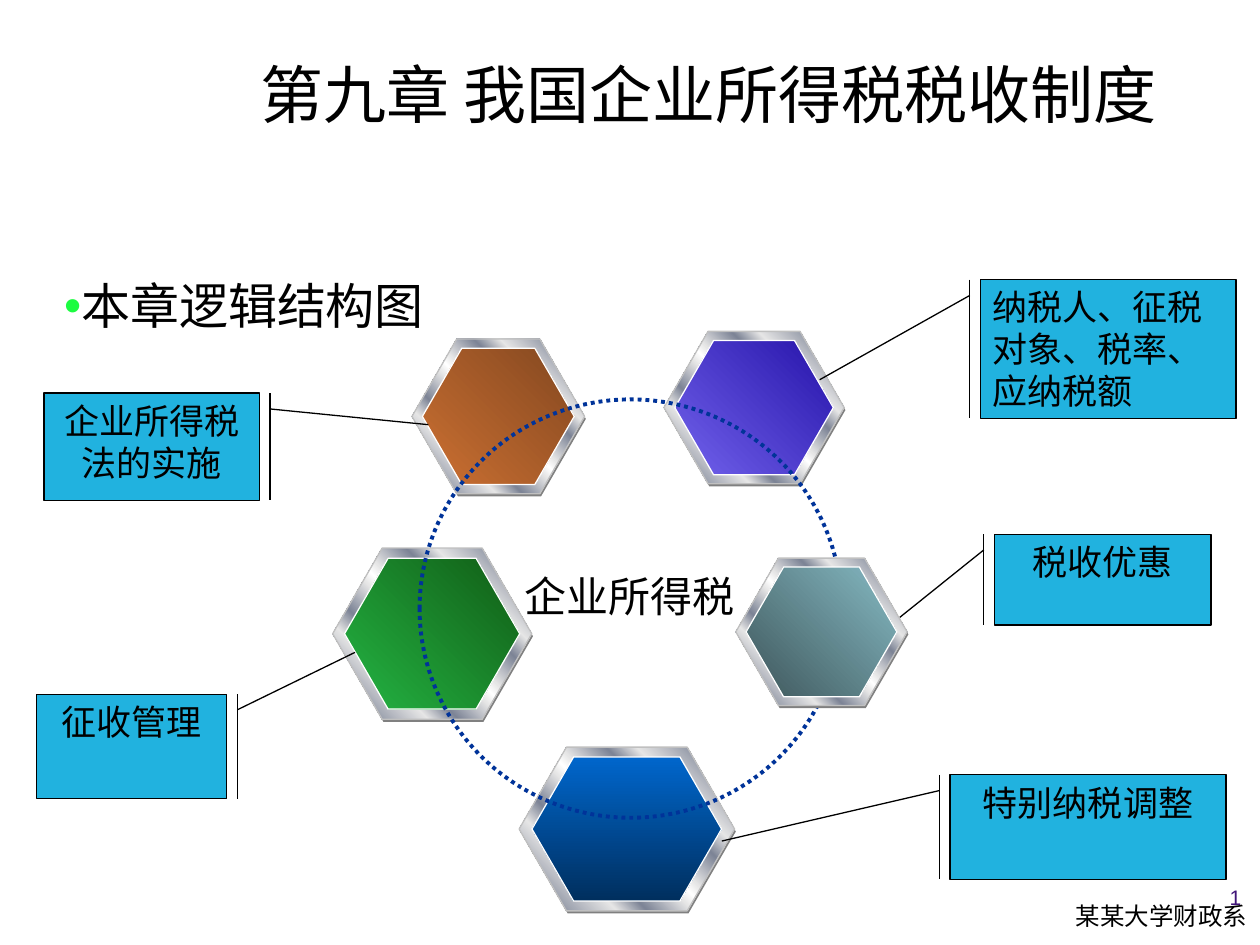
from lxml import etree
from pptx import Presentation
from pptx.dml.color import RGBColor
from pptx.enum.dml import MSO_LINE
from pptx.enum.shapes import MSO_SHAPE
from pptx.enum.text import MSO_ANCHOR, MSO_AUTO_SIZE, PP_ALIGN
from pptx.oxml.ns import qn
from pptx.util import Inches, Pt

HEXAGON, ELLIPSE = MSO_SHAPE.HEXAGON, MSO_SHAPE.OVAL
CALLOUT = MSO_SHAPE.LINE_CALLOUT_1_BORDER_AND_ACCENT_BAR
LEFT, CENTER, RIGHT = PP_ALIGN.LEFT, PP_ALIGN.CENTER, PP_ALIGN.RIGHT
TOP, MIDDLE = MSO_ANCHOR.TOP, MSO_ANCHOR.MIDDLE
color = RGBColor.from_string

METAL = [(0, "E6E6E6"), (8, "7D8496"), (26, "E6E6E6"), (34, "7D8496"),
         (46, "E6E6E6"), (50, "FFFFFF"), (54, "E6E6E6"), (66, "7D8496"),
         (74, "E6E6E6"), (92, "7D8496"), (100, "E6E6E6")]


def write(box, text, size, align, anchor=TOP, font="Arial", ink="000000"):
    frame = box.text_frame
    frame.word_wrap = True
    frame.auto_size = MSO_AUTO_SIZE.NONE
    frame.vertical_anchor = anchor
    para = frame.paragraphs[0]
    para.text = text
    para.alignment = align
    para.font.name = font
    para.font.size = Pt(size)
    para.font.color.rgb = color(ink)
    return para


def add_hexagon(left, top, width, height, start, end, angle):
    group = page.shapes.add_group_shape()
    layers = [
        (0.01, 0.02, 1, [(0, "808080")], None),
        (0, 0, 1, METAL, "C0C0C0"),
        (0.06 * width, 0.06 * height, 0.88, [(0, start), (100, end)], "FFFFFF"),
    ]
    for dx, dy, scale, stops, edge in layers:
        layer = group.shapes.add_shape(
            HEXAGON, Inches(left + dx), Inches(top + dy),
            Inches(width * scale), Inches(height * scale))
        layer.shadow.inherit = False
        layer.adjustments[0] = 0.289
        if edge is None:
            layer.fill.solid()
            layer.fill.fore_color.rgb = color(stops[0][1])
            layer.line.fill.background()
            continue
        layer.line.color.rgb = color(edge)
        layer.line.width = Pt(0.75)
        layer.fill.gradient()
        layer.fill.gradient_angle = 45 if stops is METAL else angle
        stop_list = layer._element.spPr.find(qn("a:gradFill")).find(qn("a:gsLst"))
        for old_stop in list(stop_list):
            stop_list.remove(old_stop)
        for position, value in stops:
            stop = etree.SubElement(stop_list, qn("a:gs"), pos=str(position * 1000))
            etree.SubElement(stop, qn("a:srgbClr"), val=value)


deck = Presentation()
deck.slide_width, deck.slide_height = Inches(10), Inches(7.5)
page = deck.slides.add_slide(deck.slide_layouts[1])

title, body = page.placeholders
for holder, place in [(title, (1.92, 0.39, 7.41, 1.31)), (body, (0.41, 2.14, 4.89, 1.04))]:
    holder.left, holder.top, holder.width, holder.height = map(Inches, place)
write(title, "第九章 我国企业所得税税收制度", 36, CENTER)
heading = write(body, "本章逻辑结构图", 28, LEFT)
heading.space_before = Pt(5.6)
properties = heading._p.get_or_add_pPr()
properties.set("marL", "0")
properties.set("indent", "0")
bullet_color = etree.Element(qn("a:buClr"))
etree.SubElement(bullet_color, qn("a:srgbClr"), val="1CFC41")
bullet = etree.Element(qn("a:buChar"), char="•")
properties.find(qn("a:defRPr")).addprevious(bullet_color)
properties.find(qn("a:defRPr")).addprevious(bullet)

for hexagon in [
    (5.27, 2.63, 1.43, 1.21, "7262EC", "2614AA", 45),
    (3.27, 2.69, 1.37, 1.23, "CC7032", "844820", 45),
    (2.64, 4.35, 1.58, 1.36, "24B443", "115D16", 45),
    (4.12, 5.93, 1.71, 1.30, "0066CC", "002F5E", 270),
]:
    add_hexagon(*hexagon)

ring = page.shapes.add_shape(ELLIPSE, Inches(3.33), Inches(3.17), Inches(3.35), Inches(3.32))
ring.shadow.inherit = False
ring.fill.background()
ring.line.color.rgb = color("003399")
ring.line.width = Pt(2.25)
ring.line.dash_style = MSO_LINE.ROUND_DOT

callouts = [
    ("纳税人、征税对象、税率、应纳税额", LEFT, (7.78, 2.22, 2.03, 1.10), (0.114, -0.041, 0.722, -0.628)),
    ("企业所得税法的实施", CENTER, (0.35, 3.12, 1.71, 0.85), (0.148, 1.049, 0.295, 1.784)),
    ("征收管理", CENTER, (0.29, 5.51, 1.51, 0.83), (0.15, 1.055, -0.4, 1.674)),
    ("特别纳税调整", CENTER, (7.54, 6.15, 2.19, 0.83), (0.15, -0.038, 0.633, -0.827)),
    ("税收优惠", CENTER, (7.89, 4.24, 1.72, 0.72), (0.173, -0.048, 0.942, -0.449)),
]
for text, align, place, pointer in callouts:
    callout = page.shapes.add_shape(CALLOUT, *map(Inches, place))
    callout.shadow.inherit = False
    callout.fill.solid()
    callout.fill.fore_color.rgb = color("21B2DF")
    callout.line.color.rgb = color("000000")
    callout.line.width = Pt(0.75)
    for index, value in enumerate(pointer):
        callout.adjustments[index] = value
    write(callout, text, 20, align)

add_hexagon(5.84, 4.43, 1.36, 1.17, "3E565A", "85B9C3", 45)

labels = [
    ((3.79, 4.48, 2.41, 0.51), ("企业所得税", 24, CENTER)),
    ((6.12, 7.10, 3.88, 0.33), ("某某大学财政系", 14, RIGHT, TOP, "Noto Sans CJK SC")),
    ((9.33, 6.92, 0.62, 0.40), ("1", 12, RIGHT, MIDDLE, "Arial", "401579")),
]
for place, wording in labels:
    write(page.shapes.add_textbox(*map(Inches, place)), *wording)

deck.save("out.pptx")
